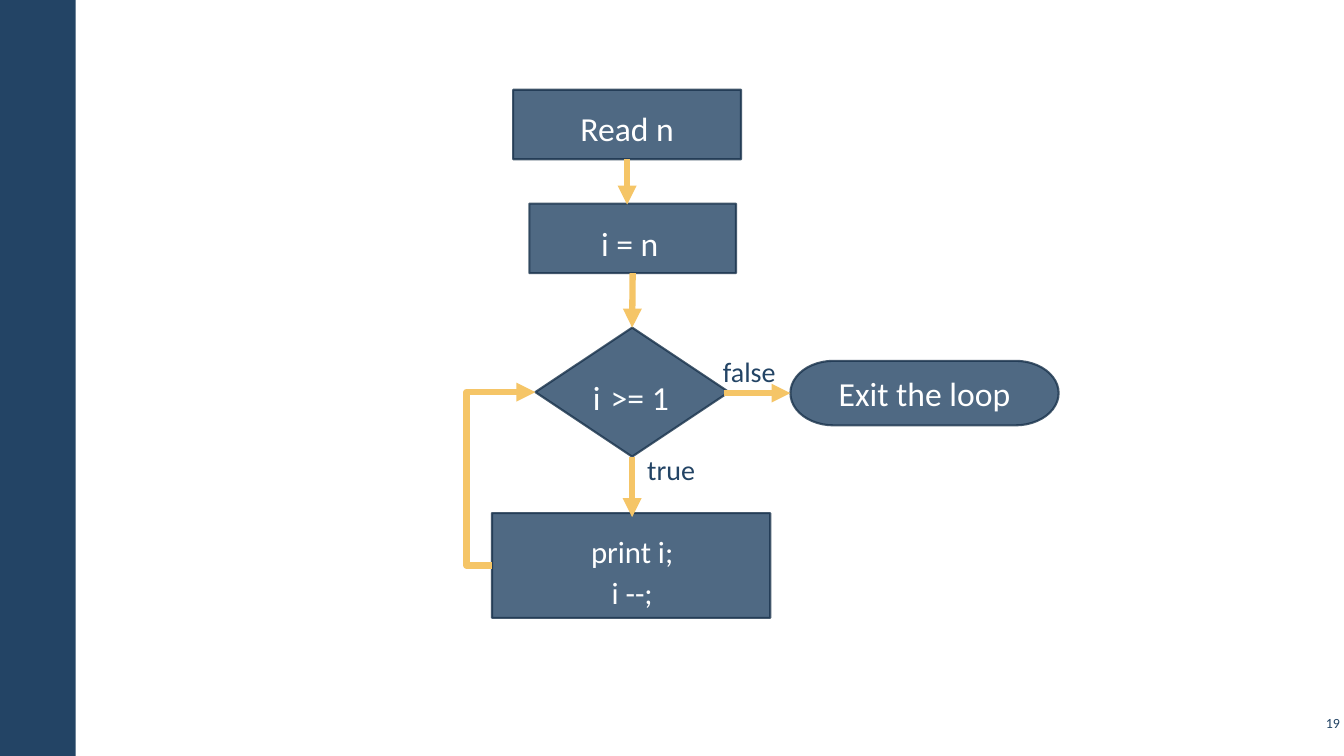
from lxml.etree import SubElement
from pptx import Presentation
from pptx.dml.color import RGBColor
from pptx.enum.shapes import MSO_CONNECTOR, MSO_SHAPE
from pptx.enum.text import MSO_ANCHOR, MSO_AUTO_SIZE, PP_ALIGN
from pptx.oxml.ns import qn
from pptx.util import Inches, Pt

COLORS = {"navy": "234465", "edge": "1A334C", "arrow": "F5C567",
          "white": "FFFFFF", "ice": "FDFFFF"}
FONT = "Calibri"
COLUMNS, ROWS = 1333, 750
CELL = Inches(0.01)
OPACITY = 80

SIDEBAR = (0, 0, 75, ROWS)
PAGE_NUMBER = ("19", (1286, 700, 47, 34))
STEPS = {
    "test": dict(
        outline=MSO_SHAPE.DIAMOND, area=(531, 325, 192, 128),
        label=[[("i", 24, "ice"), (" ", 32, "ice"), (">= ", 24, "ice"), ("1", 24, "white")]],
        label_area=(572, 346, 196, 80), align=PP_ALIGN.LEFT),
    "read": dict(
        outline=MSO_SHAPE.RECTANGLE, area=(509, 89, 226, 69),
        label=[[("Read n", 24, "white")]], label_area=(491, 91, 262, 66)),
    "start": dict(
        outline=MSO_SHAPE.RECTANGLE, area=(525, 202, 205, 69),
        label=[[("i = n", 24, "white")]], label_area=(529, 205, 191, 55)),
    "body": dict(
        outline=MSO_SHAPE.RECTANGLE, area=(488, 509, 276, 104),
        label=[[("print i;", 22, "white")], [("i --;", 22, "white")]],
        label_area=(498, 513, 258, 103)),
    "exit": dict(
        outline=MSO_SHAPE.FLOWCHART_TERMINATOR, area=(784, 358, 266, 64),
        label=[[("Exit the loop", 24, "white")]]),
}
TOP, LEFT, BOTTOM = 0, 1, 2
ARROWS = [
    (("read", BOTTOM), (622, 203)),
    (("start", BOTTOM), ("test", TOP)),
    ((718, 390), ("exit", LEFT)),
    (("test", BOTTOM), (627, 513)),
]
LOOP_BACK = (("body", LEFT), ("test", LEFT))
LOOP_BEND = -58900
BRANCHES = [("false", (701, 336, 85, 59)), ("true", (626, 434, 80, 59))]


def cells(*values):
    return [value * CELL for value in values]


def color(name):
    return RGBColor.from_string(COLORS[name])


def write(frame, lines, align=PP_ALIGN.LEFT, anchor=MSO_ANCHOR.TOP,
          inset=(16, 12), spacing=1.1, wrap=True, fit=MSO_AUTO_SIZE.NONE):
    frame.word_wrap = wrap
    frame.auto_size = fit
    frame.vertical_anchor = anchor
    frame.margin_left = frame.margin_right = inset[0] * CELL
    frame.margin_top = frame.margin_bottom = inset[1] * CELL
    for index, line in enumerate(lines):
        paragraph = frame.add_paragraph() if index else frame.paragraphs[0]
        paragraph.alignment = align
        paragraph.line_spacing = spacing
        for text, size, ink in line:
            run = paragraph.add_run()
            run.text = text
            run.font.name = FONT
            run.font.size = Pt(size)
            run.font.color.rgb = color(ink)


def add_filled(shapes, outline, area):
    filled = shapes.add_shape(outline, *cells(*area))
    filled.shadow.inherit = False
    filled.fill.solid()
    filled.fill.fore_color.rgb = color("navy")
    return filled


def add_step(slide, outline, area, label, label_area=None, align=PP_ALIGN.CENTER):
    shapes = slide.shapes.add_group_shape().shapes if label_area else slide.shapes
    step = add_filled(shapes, outline, area)
    step.line.color.rgb = color("edge")
    step.line.width = Pt(1.5)
    for tint in step._element.spPr.iter(qn("a:srgbClr")):
        SubElement(tint, qn("a:alpha"), val=str(OPACITY * 1000))
    if label_area:
        write(shapes.add_textbox(*cells(*label_area)).text_frame, label, align=align)
    else:
        write(step.text_frame, label, align=align, anchor=MSO_ANCHOR.MIDDLE,
              inset=(10, 5), spacing=1.0)
    return step


def add_arrow(slide, steps, start, end, route=MSO_CONNECTOR.STRAIGHT):
    ends = [(0, 0) if point[0] in steps else point for point in (start, end)]
    arrow = slide.shapes.add_connector(route, *cells(*ends[0], *ends[1]))
    if start[0] in steps:
        arrow.begin_connect(steps[start[0]], start[1])
    if end[0] in steps:
        arrow.end_connect(steps[end[0]], end[1])
    arrow.line.color.rgb = color("arrow")
    arrow.line.width = Pt(4.5)
    SubElement(arrow.line._get_or_add_ln(), qn("a:tailEnd"), type="triangle")
    SubElement(arrow._element.spPr, qn("a:effectLst"))
    return arrow


def main():
    deck = Presentation()
    deck.slide_width, deck.slide_height = cells(COLUMNS, ROWS)
    slide = deck.slides.add_slide(deck.slide_layouts[6])

    add_filled(slide.shapes, MSO_SHAPE.RECTANGLE, SIDEBAR).line.fill.background()
    number, number_area = PAGE_NUMBER
    write(slide.shapes.add_textbox(*cells(*number_area)).text_frame,
          [[(number, 10, "navy")]], align=PP_ALIGN.RIGHT,
          anchor=MSO_ANCHOR.MIDDLE, inset=(4, 4), spacing=1.0)

    steps = {name: add_step(slide, **step) for name, step in STEPS.items()}
    for start, end in ARROWS:
        add_arrow(slide, steps, start, end)
    loop = add_arrow(slide, steps, *LOOP_BACK, route=MSO_CONNECTOR.ELBOW)
    bends = loop._element.spPr.find(qn("a:prstGeom")).find(qn("a:avLst"))
    SubElement(bends, qn("a:gd"), name="adj1", fmla=f"val {LOOP_BEND}")

    for branch, area in BRANCHES:
        write(slide.shapes.add_textbox(*cells(*area)).text_frame,
              [[(branch, 20, "navy")]], wrap=False, fit=MSO_AUTO_SIZE.SHAPE_TO_FIT_TEXT)

    deck.save("out.pptx")


if __name__ == "__main__":
    main()
